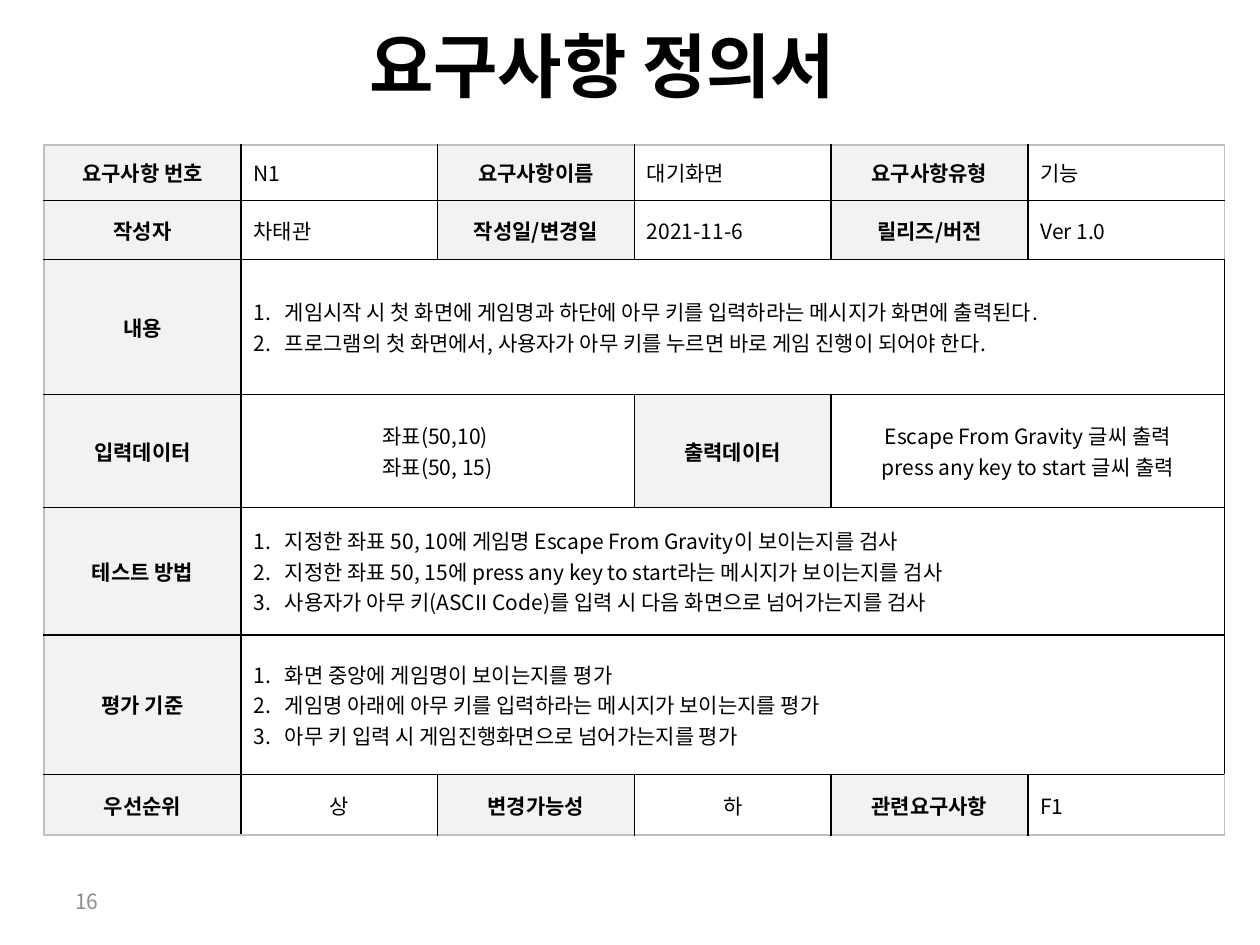
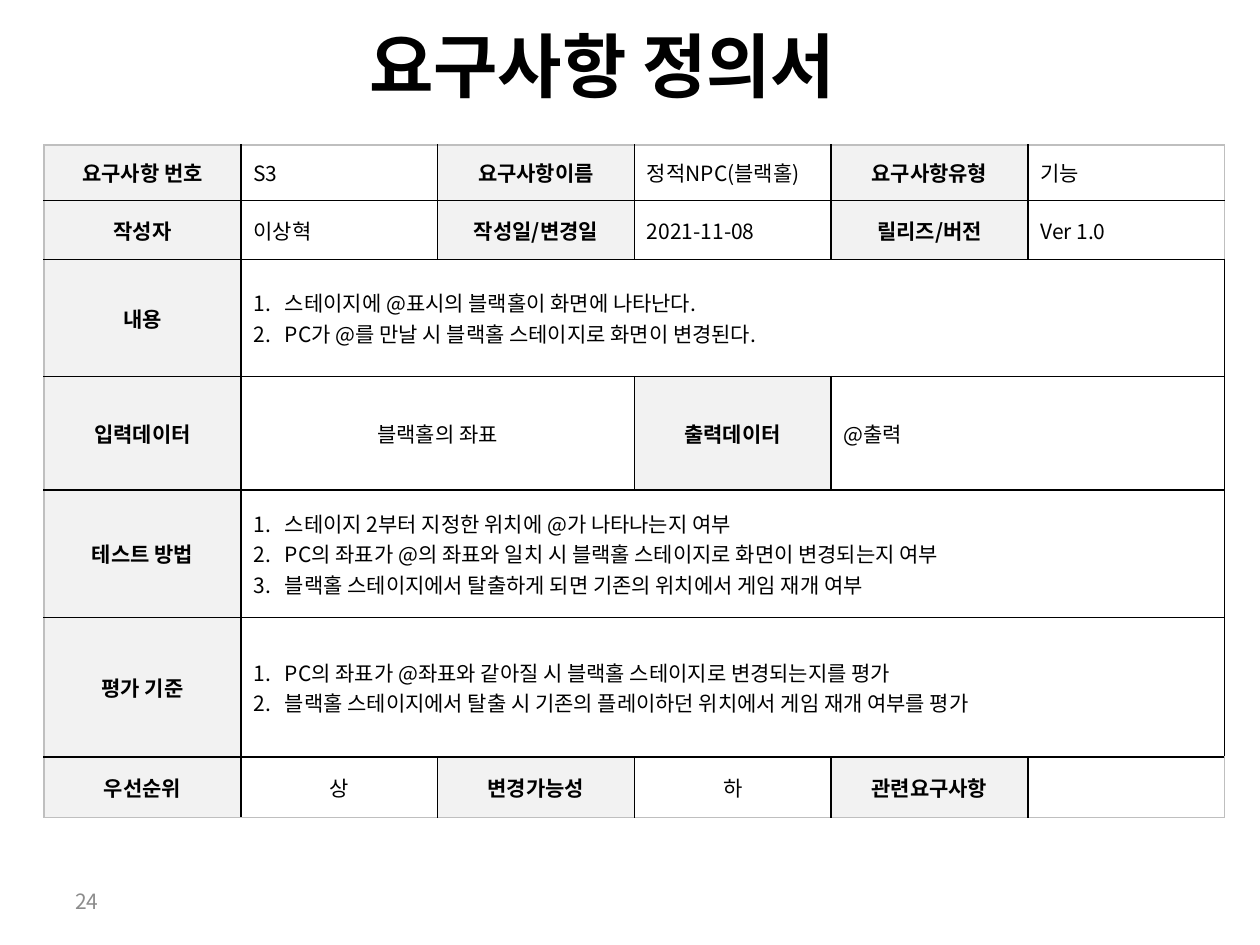
"""Builds two requirement definition slides, each a form table with title and page number."""
from lxml.etree import SubElement
from pptx import Presentation
from pptx.dml.color import RGBColor
from pptx.enum.text import MSO_ANCHOR, PP_ALIGN
from pptx.oxml.ns import qn
from pptx.util import Inches, Pt

FONT = "Noto Sans CJK KR"
INK, MUTED, LABEL_FILL, PAPER, FRAME = "000000", "8C8C8C", "F2F2F2", "FFFFFF", "BFBFBF"
COLUMNS, COLUMN_WIDTH = 6, Inches(9.37 / 6)
CONTENT_ROW = 2
ROW_HEIGHTS = [0.44, 0.47, 0.93, 0.9, 1.01, 1.11, 0.48]
LABEL_ROWS = [
    ["요구사항 번호", "요구사항이름", "요구사항유형"],
    ["작성자", "작성일/변경일", "릴리즈/버전"],
    ["내용"],
    ["입력데이터", "출력데이터"],
    ["테스트 방법"],
    ["평가 기준"],
    ["우선순위", "변경가능성", "관련요구사항"],
]
NUMBERED = {"내용", "테스트 방법", "평가 기준"}
CENTRED = {"입력데이터", "우선순위", "변경가능성"}

requirements = [
    {"page": "16", "content_height": 1.07, "values": [
        ["N1", "대기화면", "기능"],
        ["차태관", "2021-11-6", "Ver 1.0"],
        ["게임시작 시 첫 화면에 게임명과 하단에 아무 키를 입력하라는 메시지가 화면에 출력된다.\n"
         "프로그램의 첫 화면에서, 사용자가 아무 키를 누르면 바로 게임 진행이 되어야 한다."],
        ["좌표(50,10) \n좌표(50, 15)",
         "Escape From Gravity 글씨 출력\npress any key to start 글씨 출력"],
        ["지정한 좌표 50, 10에 게임명 Escape From Gravity이 보이는지를 검사\n"
         "지정한 좌표 50, 15에 press any key to start라는 메시지가 보이는지를 검사\n"
         "사용자가 아무 키(ASCII Code)를 입력 시 다음 화면으로 넘어가는지를 검사"],
        ["화면 중앙에 게임명이 보이는지를 평가\n"
         "게임명 아래에 아무 키를 입력하라는 메시지가 보이는지를 평가\n"
         "아무 키 입력 시 게임진행화면으로 넘어가는지를 평가"],
        ["상", "하", "F1"],
    ]},
    {"page": "24", "content_height": 0.93, "values": [
        ["S3", "정적NPC(블랙홀)", "기능"],
        ["이상혁", "2021-11-08", "Ver 1.0"],
        ["스테이지에 @표시의 블랙홀이 화면에 나타난다.\n"
         "PC가 @를 만날 시 블랙홀 스테이지로 화면이 변경된다."],
        ["블랙홀의 좌표", "@출력"],
        ["스테이지 2부터 지정한 위치에 @가 나타나는지 여부\n"
         "PC의 좌표가 @의 좌표와 일치 시 블랙홀 스테이지로 화면이 변경되는지 여부\n"
         "블랙홀 스테이지에서 탈출하게 되면 기존의 위치에서 게임 재개 여부"],
        ["PC의 좌표가 @좌표와 같아질 시 블랙홀 스테이지로 변경되는지를 평가\n"
         "블랙홀 스테이지에서 탈출 시 기존의 플레이하던 위치에서 게임 재개 여부를 평가"],
        ["상", "하", ""],
    ]},
]


def rgb(color):
    """Turn a hex string into a colour."""
    return RGBColor.from_string(color)


def write(frame, text, size=12, color=INK, bold=False, align=PP_ALIGN.LEFT, numbered=False):
    """Fill a text frame with one formatted paragraph per line of text."""
    frame.text = text
    for line in frame.paragraphs:
        line.alignment = align
        if numbered:
            layout = line._p.get_or_add_pPr()
            layout.set("marL", str(Inches(0.25)))
            layout.set("indent", str(-Inches(0.25)))
            SubElement(layout, qn("a:buFont"), typeface="+mj-lt")
            SubElement(layout, qn("a:buAutoNum"), type="arabicPeriod")
        for run in line.runs:
            run.font.size, run.font.bold, run.font.name = Pt(size), bold, FONT
            run.font.color.rgb = rgb(color)
            SubElement(run._r.get_or_add_rPr(), qn("a:ea"), typeface=FONT)


deck = Presentation()
deck.slide_width, deck.slide_height = Inches(10), Inches(7.5)

for requirement in requirements:
    slide = deck.slides.add_slide(deck.slide_layouts[5])
    heights = list(ROW_HEIGHTS)
    heights[CONTENT_ROW] = requirement["content_height"]

    form = slide.shapes.add_table(len(heights), COLUMNS, Inches(0.35), Inches(1.15),
                                  COLUMN_WIDTH * COLUMNS, Inches(sum(heights))).table
    form.first_row = form.horz_banding = False
    for column in form.columns:
        column.width = COLUMN_WIDTH

    for r, height in enumerate(heights):
        form.rows[r].height = Inches(height)
        for c in range(COLUMNS):
            cell = form.cell(r, c)
            cell.vertical_anchor = MSO_ANCHOR.MIDDLE
            outer = {"lnL": c == 0, "lnR": c == COLUMNS - 1,
                     "lnT": r == 0, "lnB": r == len(heights) - 1}
            for side, on_frame in outer.items():
                border = SubElement(cell._tc.get_or_add_tcPr(), qn(f"a:{side}"), w=str(Pt(1)))
                SubElement(SubElement(border, qn("a:solidFill")), qn("a:srgbClr"),
                           val=FRAME if on_frame else INK)
            cell.fill.solid()
            cell.fill.fore_color.rgb = rgb(PAPER)

        labels = LABEL_ROWS[r]
        span = COLUMNS // len(labels)
        for i, (label, value) in enumerate(zip(labels, requirement["values"][r])):
            label_cell, value_cell = form.cell(r, i * span), form.cell(r, i * span + 1)
            label_cell.fill.fore_color.rgb = rgb(LABEL_FILL)
            write(label_cell.text_frame, label, bold=True, align=PP_ALIGN.CENTER)
            if span > 2:
                value_cell.merge(form.cell(r, (i + 1) * span - 1))
            numbered = label in NUMBERED
            centred = label in CENTRED or ("\n" in value and not numbered)
            write(value_cell.text_frame, value, numbered=numbered,
                  align=PP_ALIGN.CENTER if centred else PP_ALIGN.LEFT)

    title = slide.shapes.title
    title.left, title.top, title.width, title.height = map(Inches, (2.83, 0.13, 4.33, 0.77))
    title.text_frame.vertical_anchor = MSO_ANCHOR.TOP
    write(title.text_frame, "요구사항 정의서", size=40, bold=True)

    page = slide.shapes.add_textbox(*map(Inches, (0.5, 6.95, 2.33, 0.4))).text_frame
    page.word_wrap = True
    page.vertical_anchor = MSO_ANCHOR.MIDDLE
    write(page, requirement["page"], color=MUTED)

deck.save("out.pptx")
